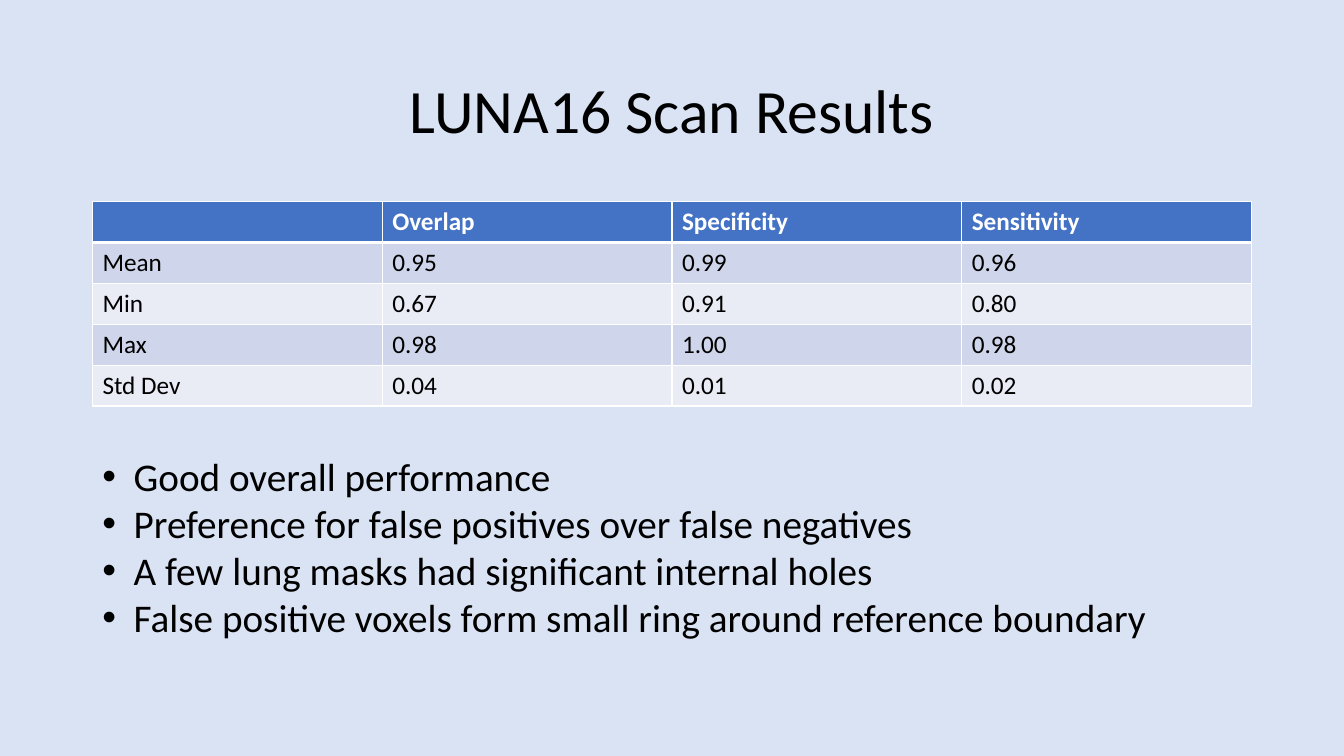
from lxml import etree
from pptx import Presentation
from pptx import util as u
from pptx.dml.color import RGBColor
from pptx.enum import text
from pptx.oxml.ns import qn

RESULTS = [
    ["", "Overlap", "Specificity", "Sensitivity"],
    ["Mean", "0.95", "0.99", "0.96"],
    ["Min", "0.67", "0.91", "0.80"],
    ["Max", "0.98", "1.00", "0.98"],
    ["Std Dev", "0.04", "0.01", "0.02"],
]
FINDINGS = [
    "Good overall performance",
    "Preference for false positives over false negatives",
    "A few lung masks had significant internal holes",
    "False positive voxels form small ring around reference boundary",
]


def color(value):
    return RGBColor.from_string(value)


class SlideBuilder:
    font = "Calibri"
    ink, white = "000000", "FFFFFF"
    header, bands = "4472C4", ("CFD5EA", "E9EBF5")

    def __init__(self, slide, background):
        self.slide = slide
        slide.background.fill.solid()
        slide.background.fill.fore_color.rgb = color(background)

    def format(self, paragraph, size, ink, bold=False):
        for run in paragraph.runs:
            run.font.name = self.font
            run.font.size = u.Pt(size)
            run.font.bold = bold
            run.font.color.rgb = color(ink)

    def text_box(self, box, content, size):
        shape = self.slide.shapes.add_textbox(*map(u.Cm, box))
        frame = shape.text_frame
        frame.word_wrap = True
        frame.text = content
        for paragraph in frame.paragraphs:
            self.format(paragraph, size, self.ink)
        return frame

    def title(self, box, content):
        frame = self.text_box(box, content, 44)
        frame.vertical_anchor = text.MSO_ANCHOR.MIDDLE
        frame.paragraphs[0].alignment = text.PP_ALIGN.CENTER
        frame.paragraphs[0].line_spacing = 0.9

    def bullets(self, box, items):
        frame = self.text_box(box, "\n".join(items), 28)
        indent = u.Cm(0.79)
        for paragraph in frame.paragraphs:
            properties = paragraph._p.get_or_add_pPr()
            properties.set("marL", str(indent))
            properties.set("indent", str(-indent))
            etree.SubElement(properties, qn("a:buFont"), typeface="Arial")
            etree.SubElement(properties, qn("a:buChar"), char="•")

    def borders(self, cell, top, bottom):
        properties = cell._tc.get_or_add_tcPr()
        for side, width in (("L", 1), ("R", 1), ("T", top), ("B", bottom)):
            line = etree.SubElement(properties, qn(f"a:ln{side}"), w=str(u.Pt(width)))
            fill = etree.SubElement(line, qn("a:solidFill"))
            etree.SubElement(fill, qn("a:srgbClr"), val=self.white)

    def table(self, box, rows):
        shape = self.slide.shapes.add_table(len(rows), len(rows[0]), *map(u.Cm, box))
        for r, row in enumerate(rows):
            is_header = r == 0
            for c, value in enumerate(row):
                cell = shape.table.cell(r, c)
                # The rule under the header is thicker
                self.borders(cell, 3 if r == 1 else 1, 3 if is_header else 1)
                cell.fill.solid()
                cell.fill.fore_color.rgb = color(
                    self.header if is_header else self.bands[(r - 1) % 2])
                cell.text_frame.text = value
                self.format(cell.text_frame.paragraphs[0], 18,
                            self.white if is_header else self.ink, is_header)


def main():
    presentation = Presentation()
    presentation.slide_width = u.Cm(33.87)
    presentation.slide_height = u.Cm(19.05)
    slide = presentation.slides.add_slide(presentation.slide_layouts[6])
    builder = SlideBuilder(slide, "DAE3F3")

    # Title
    builder.title((2.33, 1.01, 29.21, 3.68), "LUNA16 Scan Results")
    # Scores
    builder.table((2.33, 5.08, 29.21, 5.15), RESULTS)
    # Findings
    builder.bullets((2.33, 11.28, 29.34, 5.82), FINDINGS)

    presentation.save("out.pptx")


if __name__ == "__main__":
    main()
